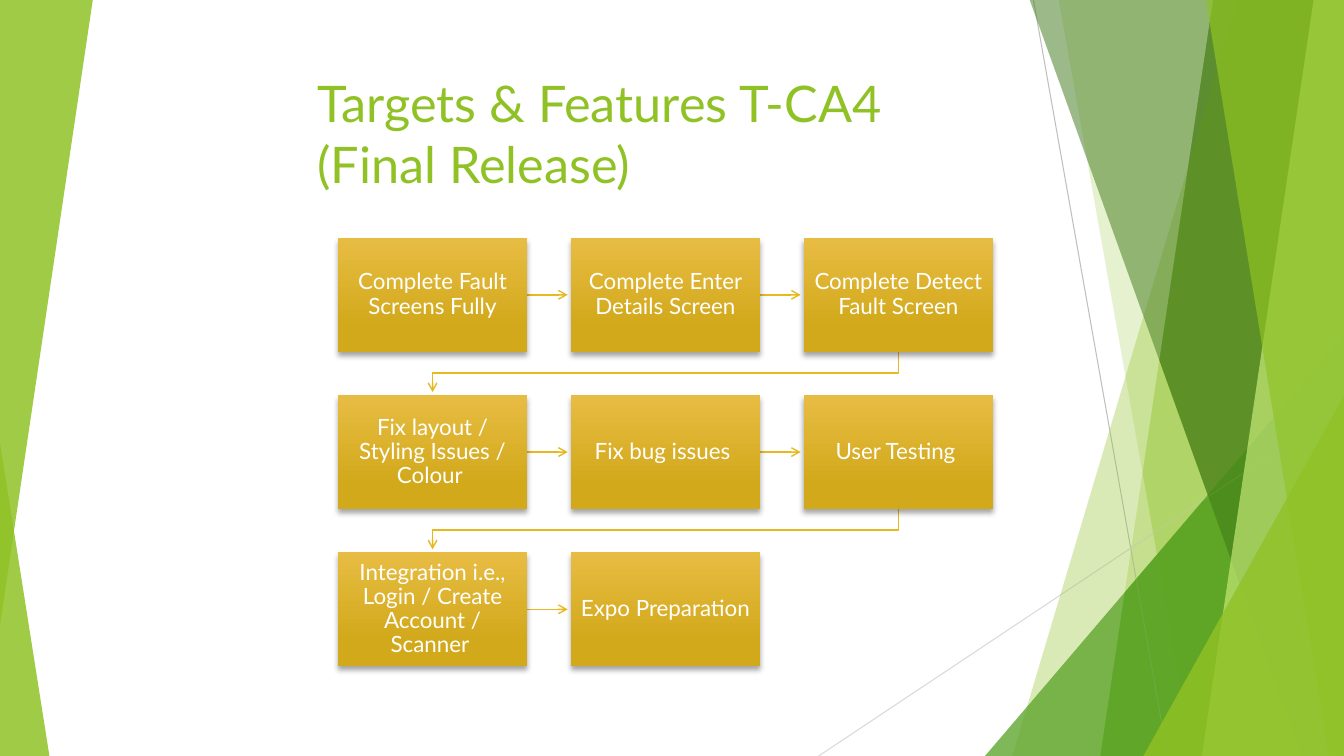
from dataclasses import dataclass

from lxml import etree
from pptx import Presentation
from pptx.dml.color import RGBColor
from pptx.enum.shapes import MSO_CONNECTOR, MSO_SHAPE
from pptx.enum.text import MSO_ANCHOR, PP_ALIGN
from pptx.oxml.ns import qn
from pptx.util import Inches, Pt

TRIANGLE = MSO_SHAPE.ISOSCELES_TRIANGLE
PARALLELOGRAM = MSO_SHAPE.PARALLELOGRAM
RECTANGLE = MSO_SHAPE.RECTANGLE
STRAIGHT = MSO_CONNECTOR.STRAIGHT
TOP, MIDDLE = MSO_ANCHOR.TOP, MSO_ANCHOR.MIDDLE
LEFT, CENTER = PP_ALIGN.LEFT, PP_ALIGN.CENTER


@dataclass(frozen=True)
class Theme:
    """Colours, font and type sizes of the deck."""
    font: str = "Lato"
    lime: str = "90C226"
    green: str = "54A021"
    forest: str = "3F7819"
    pale: str = "C0E474"
    white: str = "FFFFFF"
    black: str = "000000"
    gold: str = "E6B91E"
    gold_light: str = "E7BC43"
    gold_dark: str = "D2A91B"
    grey: str = "BFBFBF"
    light_grey: str = "D9D9D9"
    title_size: int = 36
    step_size: int = 16
    hairline: float = 0.75
    arrow_line: float = 1


class SlidePainter:
    """Draws styled elements on one slide."""

    def __init__(self, slide, theme):
        """Keep the slide and its theme."""
        self.shapes = slide.shapes
        self.theme = theme

    @staticmethod
    def assign(target, values):
        """Set every attribute named in a dict."""
        for name, value in values.items():
            setattr(target, name, value)

    def tint(self, shape, color, opacity):
        """Fill a borderless shape with a see-through colour."""
        shape.shadow.inherit = False
        shape.line.fill.background()
        shape.fill.solid()
        shape.fill.fore_color.rgb = RGBColor.from_string(color)
        fill_color = shape._element.spPr.find(qn("a:solidFill"))[0]
        etree.SubElement(fill_color, qn("a:alpha"), val=str(opacity * 1000))

    def preset(self, kind, box, adjustment, color, opacity, rotation=0):
        """Add a tinted preset shape."""
        shape = self.shapes.add_shape(kind, *map(Inches, box))
        shape.adjustments[0] = adjustment
        shape.rotation = rotation
        self.tint(shape, color, opacity)

    def outline(self, points, close):
        """Build a freeform through points given in inches."""
        start, *rest = [(Inches(x), Inches(y)) for x, y in points]
        builder = self.shapes.build_freeform(*start, scale=1.0)
        builder.add_line_segments(rest, close=close)
        shape = builder.convert_to_shape()
        shape.shadow.inherit = False
        return shape

    def facet(self, points, color, opacity):
        """Add a tinted polygon."""
        self.tint(self.outline(points, True), color, opacity)

    def stroke(self, line, color, width):
        """Colour a line and set its width."""
        line.color.rgb = RGBColor.from_string(color)
        line.width = Pt(width)

    def connector(self, start, end, color, width):
        """Add a straight line without a shadow."""
        link = self.shapes.add_connector(STRAIGHT, *map(Inches, (*start, *end)))
        self.stroke(link.line, color, width)
        etree.SubElement(link._element.spPr, qn("a:effectLst"))
        return link

    def arrow(self, points):
        """Add a gold arrow, straight or bent, through the points."""
        theme = self.theme
        if len(points) == 2:
            link = self.connector(*points, theme.gold, theme.arrow_line)
        else:
            link = self.outline(points, False)
            link.fill.background()
            self.stroke(link.line, theme.gold, theme.arrow_line)
        etree.SubElement(link._element.spPr.find(qn("a:ln")), qn("a:tailEnd"), type="arrow")

    def label(self, shape, text, size, color, frame_format, paragraph_format):
        """Put one formatted paragraph in a shape."""
        frame = shape.text_frame
        frame.text = text
        paragraph = frame.paragraphs[0]
        self.assign(frame, {"word_wrap": True, **frame_format})
        self.assign(paragraph, paragraph_format)
        for run in paragraph.runs:
            self.assign(run.font, {"name": self.theme.font, "size": Pt(size)})
            run.font.color.rgb = RGBColor.from_string(color)

    def title(self, text, box):
        """Add the slide title."""
        holder = self.shapes.add_textbox(*map(Inches, box))
        self.label(holder, text, self.theme.title_size, self.theme.lime,
                   {"vertical_anchor": TOP}, {"alignment": LEFT})

    def step(self, text, box):
        """Add a gold process step with a gradient and a soft shadow."""
        theme = self.theme
        card = self.shapes.add_shape(RECTANGLE, *map(Inches, box))
        card.line.fill.background()
        card.fill.gradient()
        card.fill.gradient_angle = 270
        stops = ((0, theme.gold_light), (0.78, theme.gold_dark))
        for stop, (position, color) in zip(card.fill.gradient_stops, stops):
            stop.position = position
            stop.color.rgb = RGBColor.from_string(color)
        card.shadow.inherit = False
        effects = card._element.spPr.find(qn("a:effectLst"))
        shadow = etree.SubElement(effects, qn("a:outerShdw"), blurRad=str(Pt(4)),
                                  dist=str(Pt(3)), dir="5400000", rotWithShape="0")
        shade = etree.SubElement(shadow, qn("a:srgbClr"), val=theme.black)
        etree.SubElement(shade, qn("a:alpha"), val="35000")
        side, edge = Inches(0.09), Inches(0.1)
        self.label(card, text, theme.step_size, theme.white,
                   {"vertical_anchor": MIDDLE, "margin_left": side, "margin_right": side,
                    "margin_top": edge, "margin_bottom": edge},
                   {"alignment": CENTER, "line_spacing": 0.9})


WIDTH, HEIGHT, BLEED = 13.33, 7.5, -0.01
STEPS = (
    "Complete Fault Screens Fully",
    "Complete Enter Details Screen",
    "Complete Detect Fault Screen",
    "Fix layout / Styling Issues / Colour ",
    "Fix bug issues ",
    "User Testing ",
    "Integration i.e., Login / Create Account / Scanner ",
    "Expo Preparation",
)
COLUMNS = 3
GRID_LEFT, GRID_TOP = 3.35, 2.36
COLUMN_PITCH, ROW_PITCH = 2.31, 1.56
STEP_WIDTH, STEP_HEIGHT = 1.88, 1.13
ARROW_LENGTH, ELBOW_DROP = 0.4, 0.21


def draw_facets(painter, forest_opacity):
    """Draw one layer of the overlapping green facets."""
    theme = painter.theme

    def band(top, bottom, color, opacity):
        """Draw a facet from a slanted edge to the right side."""
        painter.facet([(top, BLEED), (WIDTH, BLEED), (WIDTH, HEIGHT), (bottom, HEIGHT)],
                      color, opacity)

    band(12.28, 10.04, theme.lime, 30)
    band(10.5, 11.83, theme.lime, 20)
    painter.preset(TRIANGLE, (9.77, 3.33, 3.56, 4.17), 1, theme.green, 72)
    band(10.21, 12.91, theme.forest, forest_opacity)
    band(13.03, 11.92, theme.pale, 70)
    band(11.96, 13.18, theme.lime, 65)
    painter.preset(TRIANGLE, (11.34, 3.93, 1.99, 3.57), 1, theme.lime, 80)


def draw_backdrop(painter):
    """Draw the facets on both sides and the thin lines."""
    theme = painter.theme
    draw_facets(painter, 70)
    painter.preset(TRIANGLE, (0, 4.39, 0.49, 3.11), 0, theme.lime, 85)
    painter.preset(TRIANGLE, (0, 0, 0.92, 6.2), 1, theme.lime, 85, 180)
    painter.preset(PARALLELOGRAM, (1.78, 0, 10.25, HEIGHT), 0.149, theme.white, 89)
    painter.connector((10.25, 0), (11.58, HEIGHT), theme.grey, theme.hairline)
    painter.connector((WIDTH, 4.03), (8.12, HEIGHT), theme.light_grey, theme.hairline)
    draw_facets(painter, 47)


def draw_process(painter):
    """Lay the steps out row by row and link each to the next."""
    first_center = GRID_LEFT + STEP_WIDTH / 2
    for index, text in enumerate(STEPS):
        row, column = divmod(index, COLUMNS)
        left, top = GRID_LEFT + column * COLUMN_PITCH, GRID_TOP + row * ROW_PITCH
        right, bottom = left + STEP_WIDTH, top + STEP_HEIGHT
        middle, center = top + STEP_HEIGHT / 2, left + STEP_WIDTH / 2
        if column == COLUMNS - 1:
            turn = bottom + ELBOW_DROP
            painter.arrow([(center, bottom), (center, turn), (first_center, turn),
                           (first_center, bottom + ARROW_LENGTH)])
        elif index < len(STEPS) - 1:
            painter.arrow([(right, middle), (right + ARROW_LENGTH, middle)])
        painter.step(text, (left, top, STEP_WIDTH, STEP_HEIGHT))


deck = Presentation()
deck.slide_width, deck.slide_height = Inches(WIDTH), Inches(HEIGHT)
targets = SlidePainter(deck.slides.add_slide(deck.slide_layouts[6]), Theme())
draw_backdrop(targets)
targets.title("Targets & Features T-CA4\v(Final Release)", (3.05, 0.67, 7.1, 1.44))
draw_process(targets)
deck.save("out.pptx")
